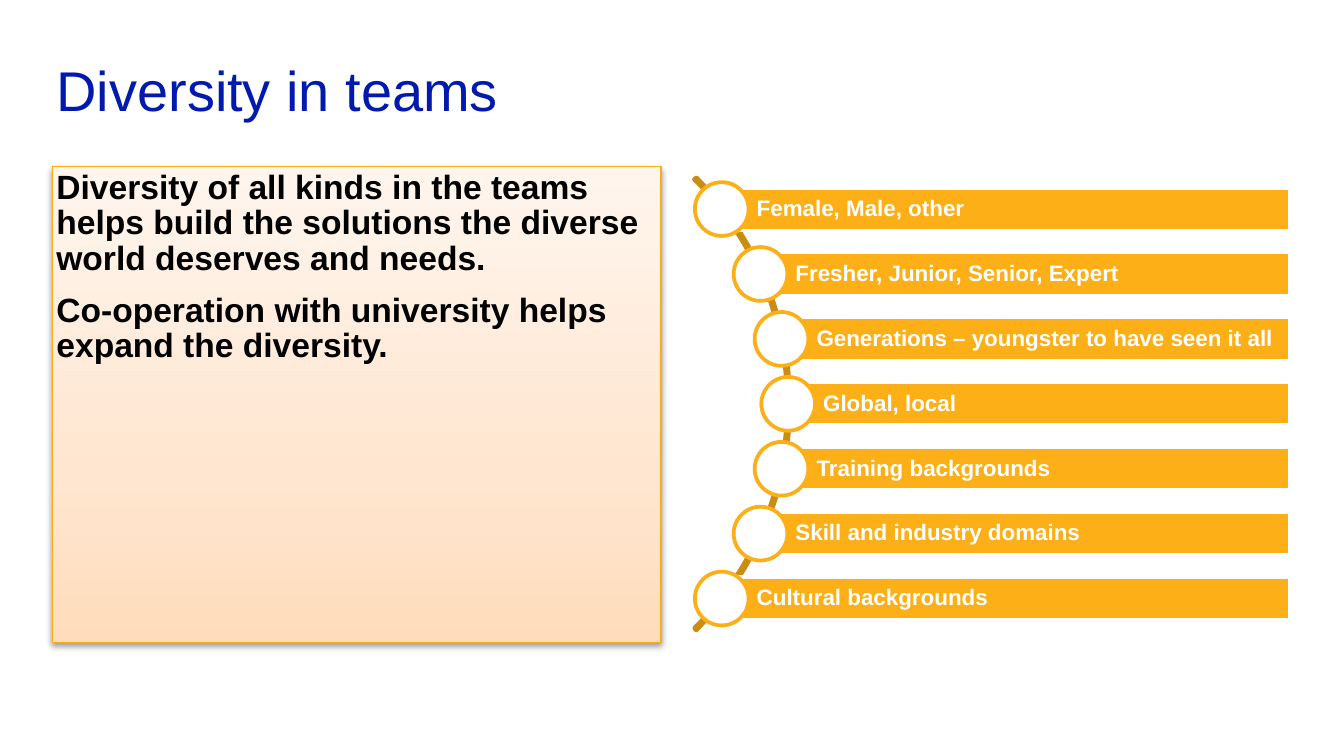
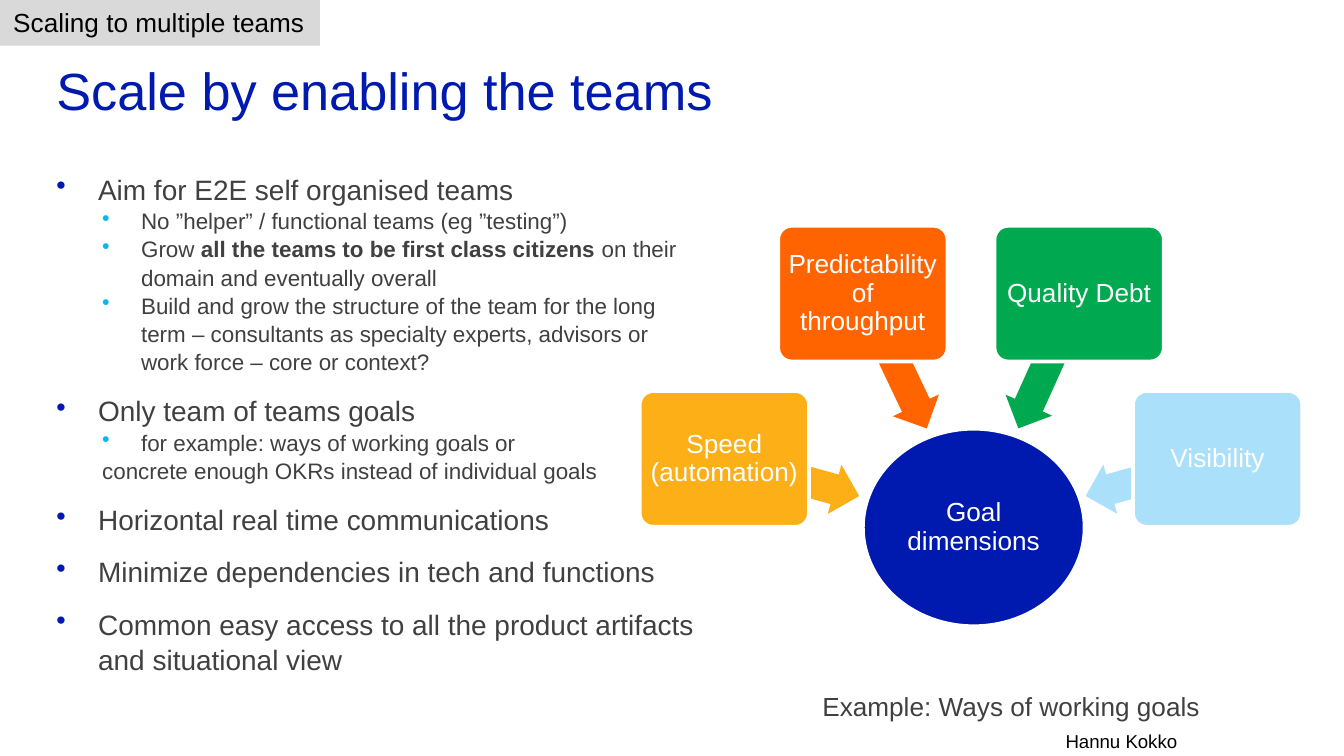
"""Build two slides on team diversity and on scaling by enabling teams."""
import copy
import math

import lxml.etree
import pptx
import pptx.dml.color
import pptx.enum.shapes
import pptx.enum.text
import pptx.oxml.ns
import pptx.util

RGB = pptx.dml.color.RGBColor
Pt = pptx.util.Pt
qn = pptx.oxml.ns.qn
KIND = pptx.enum.shapes.MSO_SHAPE
ALIGN = pptx.enum.text.PP_ALIGN
ANCHOR = pptx.enum.text.MSO_ANCHOR

NAVY = RGB(0x00, 0x19, 0xAF)
CYAN = RGB(0x00, 0xBA, 0xF2)
AMBER = RGB(0xFC, 0xAF, 0x17)
EDGE = RGB(0xFC, 0xAD, 0x11)
BRONZE = RGB(0xCA, 0x8C, 0x12)
ORANGE = RGB(0xFF, 0x64, 0x00)
GREEN = RGB(0x00, 0xA9, 0x50)
SKY = RGB(0xAA, 0xE0, 0xFA)
PEACH = RGB(0xFF, 0xDC, 0xBB)
CREAM = RGB(0xFF, 0xE6, 0xD0)
PALE = RGB(0xFF, 0xF5, 0xED)
GREY = RGB(0xD9, 0xD9, 0xD9)
INK = RGB(0x40, 0x40, 0x41)
BLACK = RGB(0, 0, 0)
WHITE = RGB(0xFF, 0xFF, 0xFF)

COLS = 100
INSET = (0.3, 0.3, 0.3, 0.3)
LOOSE = (1, 0.5, 1, 0.5)
MAIN = {"line_spacing": Pt(19), "space_before": Pt(9)}
SUB = {"level": 1, "line_spacing": 1.05, "space_before": Pt(0)}
TIGHT = {"alignment": ALIGN.CENTER, "line_spacing": 0.9}
LEFT = {"alignment": ALIGN.LEFT}


class Deck:
    """Hold the style, the grid of 100 columns and the current slide."""

    def __init__(self):
        self.file = pptx.Presentation()
        self.put(self.file, {"slide_width": pptx.util.Inches(10),
                             "slide_height": pptx.util.Inches(5.625)})
        self.cell = self.file.slide_width / COLS
        self.slide = None

    def put(self, item, values):
        for name, value in values.items():
            setattr(item, name, value)

    def size(self, cells):
        return pptx.util.Emu(round(cells * self.cell))

    def place(self, item, box):
        names = ("left", "top", "width", "height")
        self.put(item, dict(zip(names, map(self.size, box))))

    def page(self, title, points):
        self.slide = self.file.slides.add_slide(self.file.slide_layouts[5])
        head = self.slide.shapes.title
        self.place(head, (3.9, 2.6, 93.1, 8.1))
        self.frame(head, INSET, ANCHOR.MIDDLE)
        self.para(head, [title], points, NAVY, LEFT)

    def frame(self, item, inset, anchor=ANCHOR.TOP, wrap=True):
        names = ("margin_left", "margin_top", "margin_right", "margin_bottom")
        self.put(item.text_frame, dict(zip(names, map(self.size, inset))))
        self.put(item.text_frame, {"word_wrap": wrap, "vertical_anchor": anchor})

    def para(self, item, parts, points, ink, form, bold=False, dent=None, dot=None):
        body = item.text_frame
        first = not body.text
        para = body.paragraphs[0] if first else body.add_paragraph()
        if dent:
            props = para._p.get_or_add_pPr()
            for name, value in zip(("marL", "indent"), dent):
                props.set(name, str(self.size(value)))
            if dot:
                tint = lxml.etree.SubElement(props, qn("a:buClr"))
                lxml.etree.SubElement(tint, qn("a:srgbClr"), val=str(dot))
                lxml.etree.SubElement(props, qn("a:buChar"), char="•")
            else:
                lxml.etree.SubElement(props, qn("a:buNone"))
        self.put(para, form)
        if first:
            para.space_before = Pt(0)
        for i, part in enumerate(parts):
            run = para.add_run()
            run.text = part
            self.put(run.font, {"name": "Arial", "size": Pt(points),
                                "bold": bold or i % 2 == 1})
            run.font.color.rgb = ink

    def shape(self, kind, box, fill=None, line=None, width=2, adjust=(), turn=0):
        item = self.slide.shapes.add_shape(kind, *map(self.size, box))
        item.shadow.inherit = False
        item.rotation = turn
        for i, value in enumerate(adjust):
            item.adjustments[i] = value
        for paint, tint in ((item.fill, fill), (item.line.fill, line)):
            if tint is None:
                paint.background()
            else:
                paint.solid()
                paint.fore_color.rgb = tint
        if line is not None:
            item.line.width = Pt(width)
        return item

    def text(self, box, inset=INSET, wrap=True):
        item = self.slide.shapes.add_textbox(*map(self.size, box))
        self.frame(item, inset, wrap=wrap)
        return item

    def note(self, text, box, points, ink):
        self.para(self.text(box, LOOSE, False), [text], points, ink, LEFT)

    def fade(self, item, stops):
        item.fill.gradient()
        item.fill.gradient_angle = 90
        stop = item._element.spPr.find(".//" + qn("a:gs"))
        stop.addnext(copy.deepcopy(stop))
        for mark, (spot, tint) in zip(item.fill.gradient_stops, stops):
            mark.position = spot
            mark.color.rgb = tint

    def shade(self, item):
        glow = lxml.etree.SubElement(
            item._element.spPr.find(qn("a:effectLst")), qn("a:outerShdw"),
            blurRad=str(Pt(3.1)), dist=str(Pt(1.6)), dir="5400000", rotWithShape="0")
        tint = lxml.etree.SubElement(glow, qn("a:srgbClr"), val=str(BLACK))
        lxml.etree.SubElement(tint, qn("a:alpha"), val="38000")


def mixed(deck):
    """Draw the slide about diversity in teams."""
    deck.page("Diversity in teams", 30)
    panel = deck.shape(KIND.RECTANGLE, (3.9, 12.4, 45.3, 35.4), PEACH, EDGE, 0.75)
    deck.fade(panel, ((0, PEACH), (0.35, CREAM), (1, PALE)))
    deck.shade(panel)
    deck.frame(panel, INSET)
    for text in ("Diversity of all kinds in the teams helps build the solutions "
                 "the diverse world deserves and needs.",
                 "Co-operation with university helps expand the diversity."):
        deck.para(panel, [text], 18, BLACK, {**MAIN, **LEFT}, True)

    mid_x, mid_y, reach, ring = 34.95, 30.05, 23.7, 4
    deck.shape(KIND.BLOCK_ARC, (11.1, 6.2, 47.7, 47.7), None, BRONZE,
               adjust=(189, 27, 0.005))
    kinds = ("Female, Male, other", "Fresher, Junior, Senior, Expert",
             "Generations – youngster to have seen it all", "Global, local",
             "Training backgrounds", "Skill and industry domains",
             "Cultural backgrounds")
    for i, text in enumerate(kinds):
        drop = (i - len(kinds) // 2) * 4.83
        x, y = mid_x + math.sqrt(reach ** 2 - drop ** 2), mid_y + drop
        bar = deck.shape(KIND.RECTANGLE, (x, y - 1.6, 96 - x, 3.2), AMBER, WHITE)
        deck.frame(bar, (2.6, 0.3, 0.3, 0.3), ANCHOR.MIDDLE)
        deck.para(bar, [text], 12, WHITE, {**TIGHT, **LEFT}, True)
        deck.shape(KIND.OVAL, (x - ring / 2, y - ring / 2, ring, ring), WHITE, AMBER)


def scale(deck):
    """Draw the slide about scaling by enabling the teams."""
    deck.page("Scale by enabling the teams", 28)
    body = deck.text((3.9, 12.4, 48.5, 41.3))
    top = (15, INK, MAIN, False, (3.1, -3.1), NAVY)
    sub = (12, INK, SUB, False, (6.3, -2.9), CYAN)
    plain = (12, INK, SUB, False, (3.4, 0))
    for style, *parts in (
            (top, "Aim for E2E self organised teams"),
            (sub, "No ”helper” / functional teams (eg ”testing”)"),
            (sub, "Grow ", "all the teams to be first class citizens ",
             "on their domain and eventually overall"),
            (sub, "Build and grow the structure of the team for the long term – "
             "consultants as specialty experts, advisors or work force – "
             "core or context?"),
            (top, "Only team of teams goals"),
            (sub, "for example: ways of working goals or"),
            (plain, "concrete enough OKRs instead of individual goals"),
            (top, "Horizontal real time communications"),
            (top, "Minimize dependencies in tech and functions"),
            (top, "Common easy access to all the product artifacts "
             "and situational view")):
        deck.para(body, parts, *style)

    goal = deck.shape(KIND.OVAL, (64.2, 31.9, 16.5, 14.7), NAVY, WHITE)
    deck.frame(goal, (0.1, 0.1, 0.1, 0.1), ANCHOR.MIDDLE)
    deck.para(goal, ["Goal dimensions"], 14, WHITE, TIGHT)
    mid_x, mid_y, wide, high, thick = 72.45, 39.25, 12.6, 10.1, 3.8
    for text, tint, left, rise, span in (
            ("Speed (automation)", AMBER, 47.6, 29.1, 10.4),
            ("Predictability of throughput", ORANGE, 57.9, 16.8, 11.1),
            ("Quality Debt", GREEN, 74, 16.8, 11),
            ("Visibility", SKY, 84.3, 29.1, 10.2)):
        dx, dy = left + wide / 2 - mid_x, rise + high / 2 - mid_y
        share = 1 - span / 2 / math.hypot(dx, dy)
        x, y = mid_x + dx * share, mid_y + dy * share
        deck.shape(KIND.LEFT_ARROW, (x - span / 2, y - thick / 2, span, thick), tint,
                   adjust=(0.6, 0.5), turn=math.degrees(math.atan2(dy, dx)) % 360)
        card = deck.shape(KIND.ROUNDED_RECTANGLE, (left, rise, wide, high),
                          tint, WHITE, adjust=(0.1,))
        deck.frame(card, INSET, ANCHOR.MIDDLE)
        deck.para(card, [text], 14, WHITE, TIGHT)

    deck.note("Example: Ways of working goals", (60.2, 50.9, 30.8, 3.4), 14, INK)
    tag = deck.shape(KIND.RECTANGLE, (0, 0, 23.8, 3.4), GREY)
    deck.frame(tag, LOOSE, wrap=False)
    deck.para(tag, ["Scaling to multiple teams"], 14, BLACK, LEFT)
    deck.note("Hannu Kokko", (78.3, 53.8, 10.4, 2.7), 10, BLACK)


def main():
    """Build both slides and save them."""
    deck = Deck()
    mixed(deck)
    scale(deck)
    deck.file.save("out.pptx")


if __name__ == "__main__":
    main()
